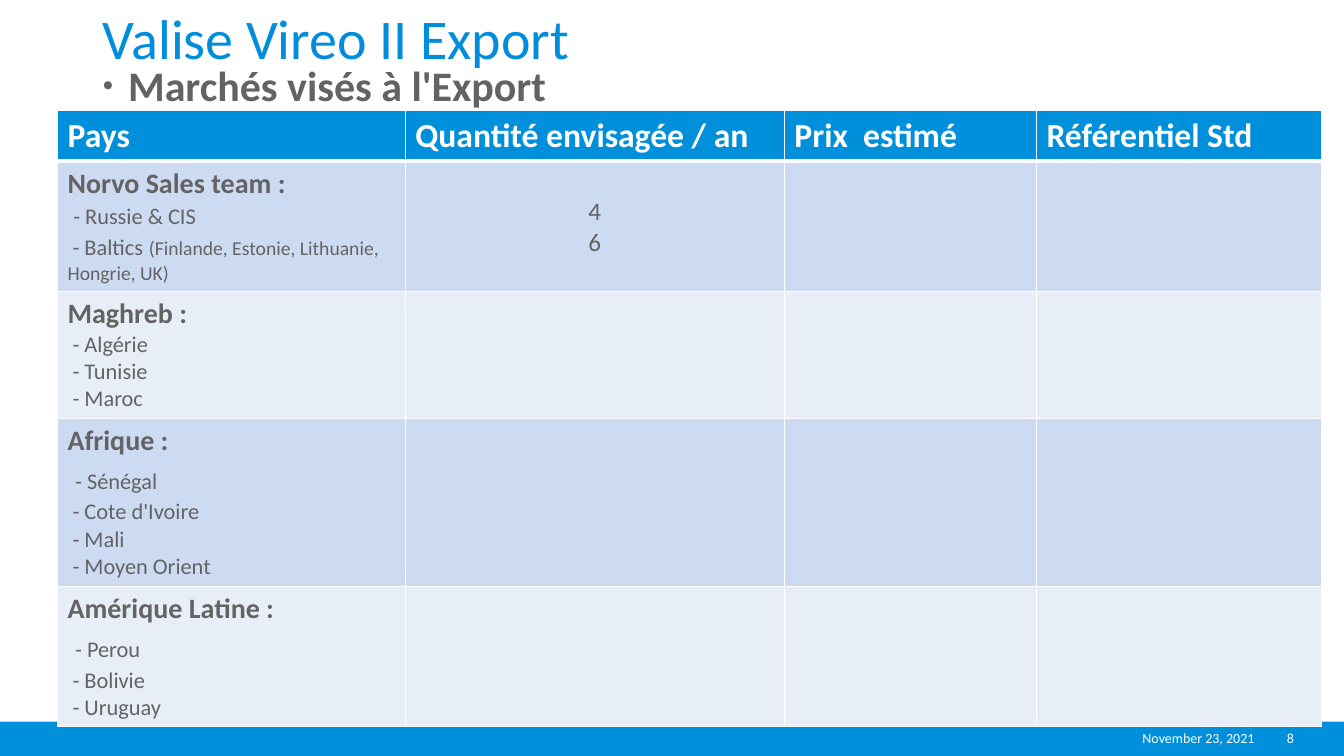
from lxml import etree
from pptx import Presentation
from pptx.dml.color import RGBColor
from pptx.enum.shapes import MSO_SHAPE
from pptx.enum.text import MSO_ANCHOR, MSO_AUTO_SIZE, PP_ALIGN
from pptx.oxml.ns import qn
from pptx.util import Inches, Pt

RECT = MSO_SHAPE.RECTANGLE
TOP, MIDDLE = MSO_ANCHOR.TOP, MSO_ANCHOR.MIDDLE
LEFT, CENTER, RIGHT = PP_ALIGN.LEFT, PP_ALIGN.CENTER, PP_ALIGN.RIGHT
NO_FIT = MSO_AUTO_SIZE.NONE

FONT = "Calibri"
COLORS = {
    "title": "008DDB",
    "blue": "008FDB",
    "text": "646363",
    "white": "FFFFFF",
    "band_dark": "CCDBF1",
    "band_light": "E7EEF8",
}

COL_WIDTHS = [3.45, 3.76, 2.5, 2.83]
ROW_HEIGHTS = [0.49, 1.29, 1.26, 1.67, 1.39]
HEADERS = ["Pays", "Quantité envisagée / an", "Prix  estimé", "Référentiel Std"]
REGIONS = [
    ("Norvo Sales team :", [
        [(" ", 18), ("- Russie & CIS", 16)],
        [(" - Baltics", 16), (" ", 18),
         ("(Finlande, Estonie, Lithuanie, Hongrie, UK)", 14)],
    ]),
    ("Maghreb :", [
        [(" - Algérie", 16)], [(" - Tunisie", 16)], [(" - Maroc", 16)],
    ]),
    ("Afrique :", [
        [(" ", 24), ("- Sénégal", 16)], [(" - Cote d'Ivoire", 16)],
        [(" - Mali", 16)], [(" - Moyen Orient", 16)],
    ]),
    ("Amérique Latine :", [
        [(" ", 24), ("- Perou", 16)], [(" - Bolivie", 16)],
        [(" - Uruguay", 16)],
    ]),
]
QUANTITIES = ["4", "6"]


def rgb(name):
    return RGBColor.from_string(COLORS[name])


def add_text(p, text, size, color="text", bold=False, align=LEFT):
    p.alignment = align
    r = p.add_run()
    r.text = text
    r.font.name = FONT
    r.font.size = Pt(size)
    r.font.bold = bold
    r.font.color.rgb = rgb(color)


def place(sp, x, y, w, h):
    sp.left, sp.top, sp.width, sp.height = map(Inches, (x, y, w, h))


def add_bar(s):
    sp = s.shapes.add_shape(RECT, 0, Inches(7.16), Inches(13.33), Inches(0.34))
    sp.shadow.inherit = False
    sp.fill.solid()
    sp.fill.fore_color.rgb = rgb("blue")
    sp.line.fill.background()


def fill_placeholder(sp, box, anchor, text, size, color, bold=False):
    place(sp, *box)
    tf = sp.text_frame
    tf.auto_size = NO_FIT
    tf.vertical_anchor = anchor
    p = tf.paragraphs[0]
    p.line_spacing = 0.9
    add_text(p, text, size, color, bold)
    return p


def add_bullet(p):
    p.space_before = Pt(10)
    pPr = p._p.get_or_add_pPr()
    pPr.set("marL", str(Inches(0.25)))
    pPr.set("indent", str(Inches(-0.25)))
    etree.SubElement(pPr, qn("a:buSzPct"), val="70000")
    etree.SubElement(pPr, qn("a:buFont"), typeface="Arial")
    etree.SubElement(pPr, qn("a:buChar"), char="•")


def add_footer(s, x, w, text, align):
    sp = s.shapes.add_textbox(Inches(x), Inches(7.15), Inches(w), Inches(0.34))
    tf = sp.text_frame
    tf.word_wrap = True
    tf.vertical_anchor = MIDDLE
    tf.margin_left = tf.margin_right = tf.margin_top = tf.margin_bottom = 0
    add_text(tf.paragraphs[0], text, 10, "white", align=align)


def style_cell(cell, row):
    tcPr = cell._tc.get_or_add_tcPr()
    widths = {"L": 1, "R": 1, "T": 3 if row == 1 else 1, "B": 3 if row == 0 else 1}
    for side, width in widths.items():
        ln = etree.SubElement(tcPr, qn(f"a:ln{side}"), w=str(Pt(width)))
        fill = etree.SubElement(ln, qn("a:solidFill"))
        etree.SubElement(fill, qn("a:srgbClr"), val=COLORS["white"])
    band = "band_dark" if row % 2 else "band_light"
    cell.fill.solid()
    cell.fill.fore_color.rgb = rgb("blue" if row == 0 else band)


def add_markets_table(s):
    frame = s.shapes.add_table(
        len(ROW_HEIGHTS), len(COL_WIDTHS), Inches(0.57), Inches(1.1),
        Inches(sum(COL_WIDTHS)), Inches(sum(ROW_HEIGHTS)))
    table = frame.table
    for column, width in zip(table.columns, COL_WIDTHS):
        column.width = Inches(width)
    for i, height in enumerate(ROW_HEIGHTS):
        table.rows[i].height = Inches(height)
        for cell in table.rows[i].cells:
            style_cell(cell, i)

    for j, header in enumerate(HEADERS):
        p = table.cell(0, j).text_frame.paragraphs[0]
        add_text(p, header, 24, "white", bold=True)

    for i, (region, countries) in enumerate(REGIONS, 1):
        tf = table.cell(i, 0).text_frame
        add_text(tf.paragraphs[0], region, 20, bold=True)
        for runs in countries:
            p = tf.add_paragraph()
            for text, size in runs:
                add_text(p, text, size)

    quantity = table.cell(1, 1)
    quantity.margin_top = Inches(0.35)
    tf = quantity.text_frame
    add_text(tf.paragraphs[0], QUANTITIES[0], 18, align=CENTER)
    for value in QUANTITIES[1:]:
        add_text(tf.add_paragraph(), value, 18, align=CENTER)


def main():
    prs = Presentation()
    prs.slide_width, prs.slide_height = Inches(13.33), Inches(7.5)
    s = prs.slides.add_slide(prs.slide_layouts[1])
    add_bar(s)
    fill_placeholder(s.shapes.title, (0.92, 0.06, 11.5, 0.71), MIDDLE,
                     "Valise Vireo II Export", 40, "title")
    p = fill_placeholder(s.placeholders[1], (0.92, 0.6, 11.5, 5.45), TOP,
                         "Marchés visés à l'Export", 30, "text", bold=True)
    add_bullet(p)
    add_footer(s, 10.29, 2.15, "November 23, 2021", RIGHT)
    add_footer(s, 12.57, 0.46, "8", CENTER)
    add_markets_table(s)
    prs.save("out.pptx")


if __name__ == "__main__":
    main()
